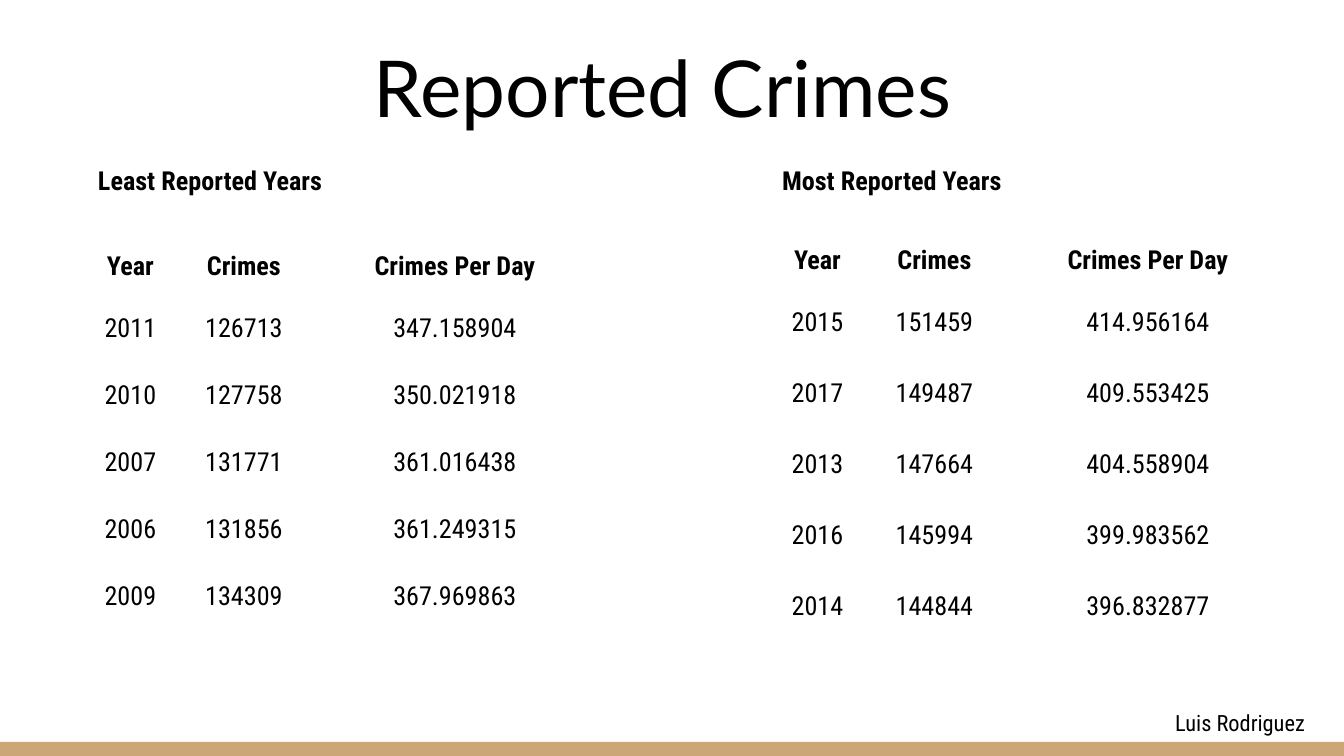
from pptx import Presentation
from pptx import util as u
from pptx.dml import color
from pptx.enum import shapes, text

COLOURS = {"ink": "000000", "band": "CCA677"}
BODY_FONT = "Roboto Condensed"
TITLE_FONT = "Lato"
HEADINGS = ("Year", "Crimes", "Crimes Per Day")
LEAST = (
    ("2011", "126713", "347.158904"),
    ("2010", "127758", "350.021918"),
    ("2007", "131771", "361.016438"),
    ("2006", "131856", "361.249315"),
    ("2009", "134309", "367.969863"),
)
MOST = (
    ("2015", "151459", "414.956164"),
    ("2017", "149487", "409.553425"),
    ("2013", "147664", "404.558904"),
    ("2016", "145994", "399.983562"),
    ("2014", "144844", "396.832877"),
)


def px(length):
    """Turn whole pixels into EMU."""
    return u.Emu(round(length * 914400 / 134.4))


class Page:
    """Holds the style and the current slide."""

    def __init__(self, deck):
        self.slide = deck.slides.add_slide(deck.slide_layouts[5])
        self.inset = px(13)

    def pad(self, holder):
        holder.margin_left = holder.margin_right = self.inset
        holder.margin_top = holder.margin_bottom = self.inset

    def add_words(self, frame, words, size, align, font=BODY_FONT, bold=False, spacing=1.0):
        para = frame.paragraphs[0]
        para.alignment = align
        para.line_spacing = spacing
        span = para.add_run()
        span.text = words
        span.font.name = font
        span.font.size = u.Pt(size)
        span.font.bold = bold
        span.font.color.rgb = color.RGBColor.from_string(COLOURS["ink"])

    def band(self, left, top, width, height):
        box = self.slide.shapes.add_shape(
            shapes.MSO_SHAPE.RECTANGLE, px(left), px(top), px(width), px(height)
        )
        box.shadow.inherit = False
        box.fill.solid()
        box.fill.fore_color.rgb = color.RGBColor.from_string(COLOURS["band"])
        box.line.fill.background()

    def title(self, words, left, top, width, height):
        box = self.slide.shapes.title
        box.left, box.top, box.width, box.height = map(px, (left, top, width, height))
        frame = box.text_frame
        frame.auto_size = text.MSO_AUTO_SIZE.NONE
        frame.vertical_anchor = text.MSO_ANCHOR.BOTTOM
        self.pad(frame)
        self.add_words(frame, words, 42, text.PP_ALIGN.CENTER, TITLE_FONT)

    def label(self, words, left, top, width, height, size=14, align=text.PP_ALIGN.LEFT, bold=True):
        box = self.slide.shapes.add_textbox(px(left), px(top), px(width), px(height))
        frame = box.text_frame
        frame.word_wrap = True
        self.pad(frame)
        self.add_words(frame, words, size, align, bold=bold)

    def table(self, records, left, top, widths, header_height, row_height):
        rows = (HEADINGS, *records)
        heights = [header_height] + [row_height] * len(records)
        grid = self.slide.shapes.add_table(
            len(rows), len(widths), px(left), px(top), px(sum(widths)), px(sum(heights))
        ).table
        grid.first_row = grid.horz_banding = False
        for column, width in zip(grid.columns, widths):
            column.width = px(width)
        for row, height in zip(grid.rows, heights):
            row.height = px(height)
        for cell in grid.iter_cells():
            cell.fill.background()
        for r, values in enumerate(rows):
            header = r == 0
            for c, value in enumerate(values, 1):
                cell = grid.cell(r, c)
                self.pad(cell)
                self.add_words(
                    cell.text_frame, value, 14, text.PP_ALIGN.CENTER,
                    bold=header, spacing=1.15 if header else 1.0,
                )


def main():
    deck = Presentation()
    deck.slide_width, deck.slide_height = px(1344), px(756)
    page = Page(deck)
    page.band(0, 742, 1344, 14)
    page.label("Least Reported Years", 85, 151, 517, 59)
    page.label("Most Reported Years", 769, 151, 562, 59)
    page.table(MOST, 672, 228, (97, 97, 137, 290), 66, 71)
    page.table(LEAST, 19, 234, (66, 91, 136, 286), 66, 67)
    page.title("Reported Crimes ", 46, 24, 1253, 122)
    page.label("Luis Rodriguez", 1021, 696, 297, 54, 12, text.PP_ALIGN.RIGHT, False)
    deck.save("out.pptx")


if __name__ == "__main__":
    main()
